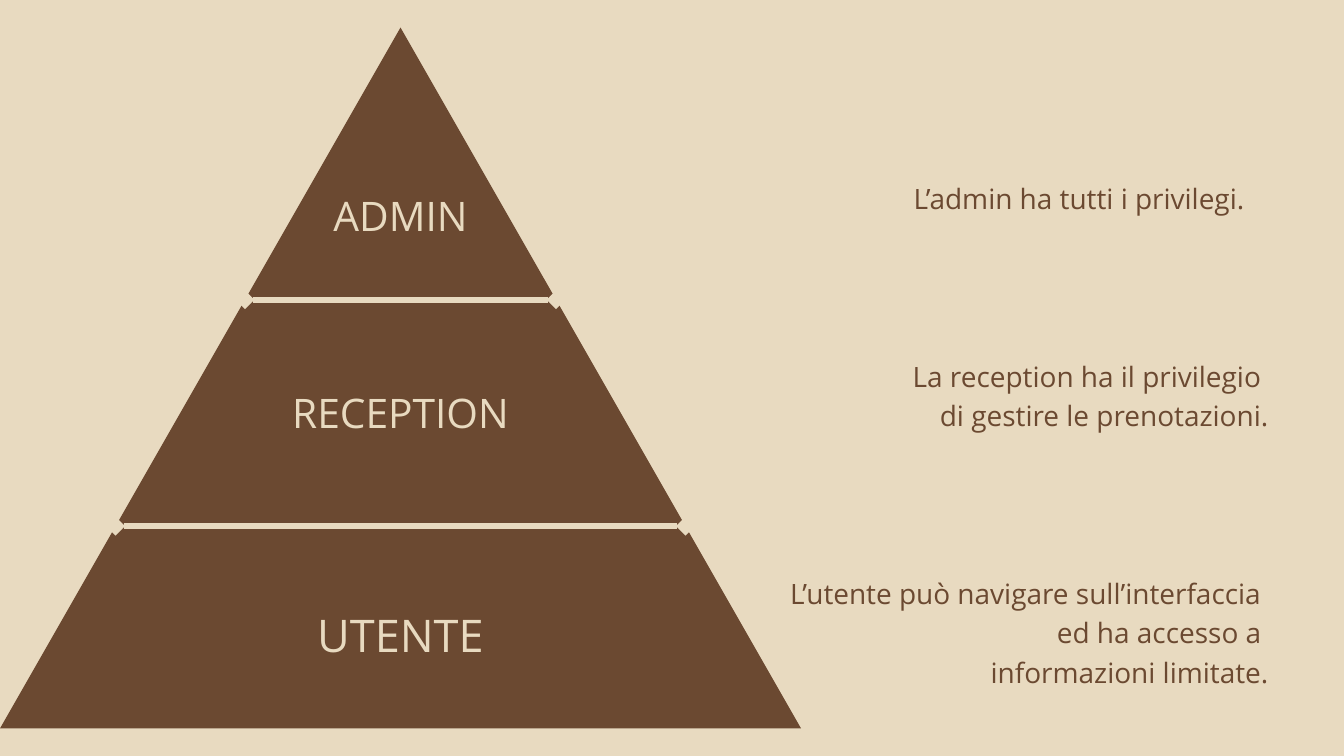
"""Build a slide with a three-level pyramid of user privileges."""
from lxml.etree import SubElement
from pptx import Presentation
from pptx.dml.color import RGBColor
from pptx.enum.shapes import MSO_CONNECTOR
from pptx.enum.text import MSO_AUTO_SIZE, PP_ALIGN
from pptx.oxml.ns import qn
from pptx.util import Inches, Pt

BEIGE = RGBColor(0xE8, 0xDA, 0xC0)
BROWN = RGBColor(0x6B, 0x49, 0x31)
FONT = "Open Sans"
LINE_SPACING = 1.4

CENTER, TOP, BOTTOM = 5.96, 0.41, 10.84
DIVIDERS = [(4.46, 4.63), (7.83, 8.48)]
LEVELS = [
    ("ADMIN", 2.72, 2.18, 0.82, 43.6),
    ("RECEPTION", 5.65, 3.41, 0.82, 43.6),
    ("UTENTE", 8.9, 2.59, 0.9, 48.2),
]
DESCRIPTIONS = [
    (["L’admin ha tutti i privilegi."],
     (13.57, 2.62, 4.98, 0.56), PP_ALIGN.CENTER),
    (["La reception ha il privilegio ", "di gestire le prenotazioni."],
     (13.57, 5.27, 5.31, 1.15), PP_ALIGN.RIGHT),
    (["L’utente può navigare sull’interfaccia ", "ed ha accesso a ",
      "informazioni limitate."],
     (11, 8.5, 7.88, 1.73), PP_ALIGN.RIGHT),
]


def add_pyramid(slide):
    builder = slide.shapes.build_freeform(Inches(CENTER), Inches(TOP))
    builder.add_line_segments(
        [(Inches(2 * CENTER), Inches(BOTTOM)), (0, Inches(BOTTOM))], close=True)
    shape = builder.convert_to_shape()
    shape.shadow.inherit = False
    shape.fill.solid()
    shape.fill.fore_color.rgb = BROWN
    shape.line.fill.background()


def add_divider(slide, y, width):
    connector = slide.shapes.add_connector(
        MSO_CONNECTOR.STRAIGHT,
        Inches(CENTER - width / 2), Inches(y),
        Inches(CENTER + width / 2), Inches(y))
    connector.line.color.rgb = BEIGE
    connector.line.width = Pt(6.75)
    line = connector.line._get_or_add_ln()
    for end in ("a:headEnd", "a:tailEnd"):
        SubElement(line, qn(end), type="diamond")
    SubElement(connector._element.spPr, qn("a:effectLst"))


def add_text(slide, lines, box, size, color, alignment):
    frame = slide.shapes.add_textbox(*map(Inches, box)).text_frame
    frame.word_wrap = True
    frame.auto_size = MSO_AUTO_SIZE.SHAPE_TO_FIT_TEXT
    frame.margin_left = frame.margin_right = 0
    frame.margin_top = frame.margin_bottom = 0
    for index, text in enumerate(lines):
        paragraph = frame.add_paragraph() if index else frame.paragraphs[0]
        paragraph.alignment = alignment
        paragraph.line_spacing = Pt(round(size * LINE_SPACING, 1))
        run = paragraph.add_run()
        run.text = text
        run.font.name = FONT
        run.font.size = Pt(size)
        run.font.color.rgb = color


def main():
    presentation = Presentation()
    presentation.slide_width = Inches(20)
    presentation.slide_height = Inches(11.25)
    slide = presentation.slides.add_slide(presentation.slide_layouts[6])
    slide.background.fill.solid()
    slide.background.fill.fore_color.rgb = BEIGE

    add_pyramid(slide)
    for y, width in DIVIDERS:
        add_divider(slide, y, width)
    for label, top, width, height, size in LEVELS:
        box = (CENTER - width / 2, top, width, height)
        add_text(slide, [label], box, size, BEIGE, PP_ALIGN.CENTER)
    for lines, box, alignment in DESCRIPTIONS:
        add_text(slide, lines, box, 30, BROWN, alignment)
    presentation.save("out.pptx")


if __name__ == "__main__":
    main()
